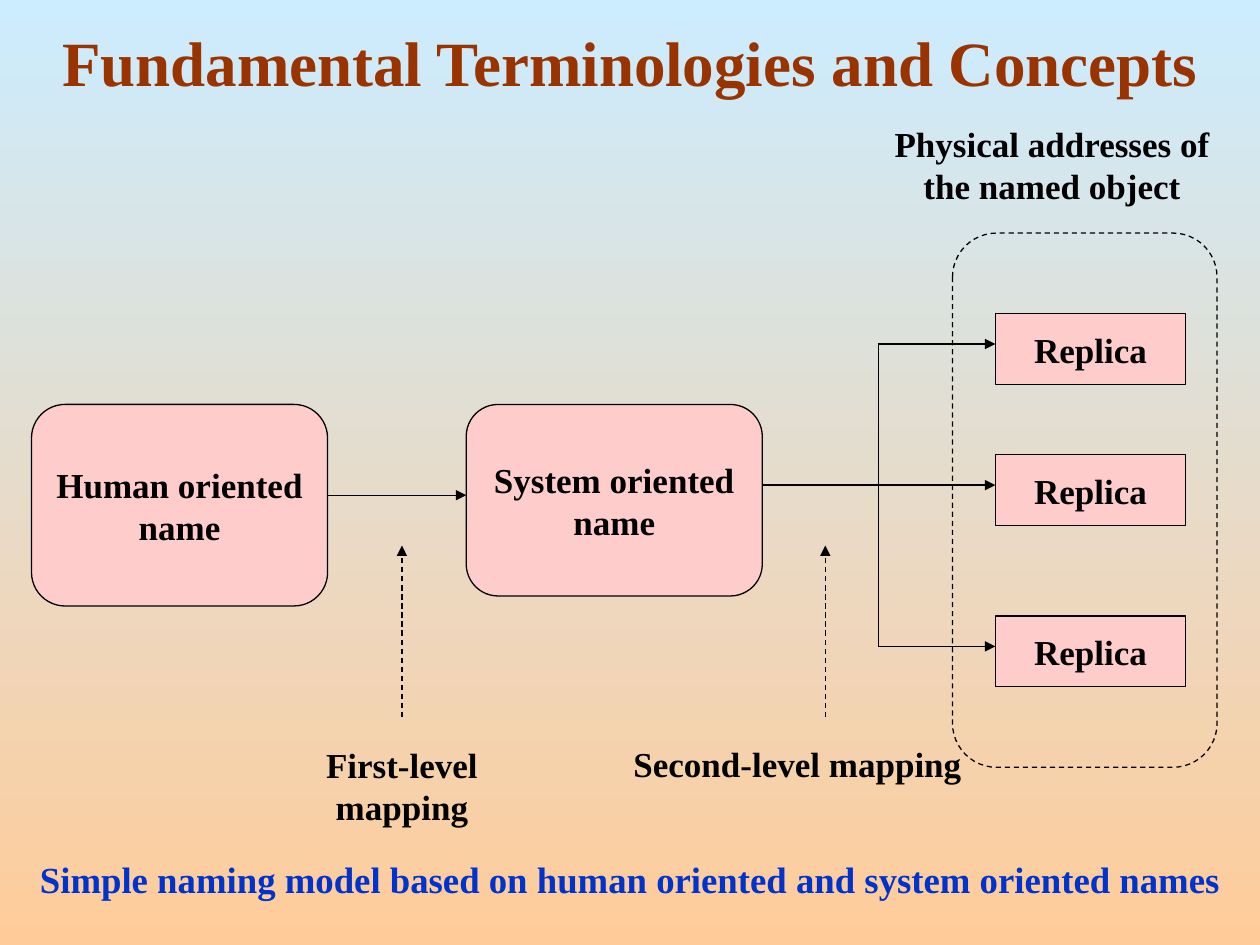
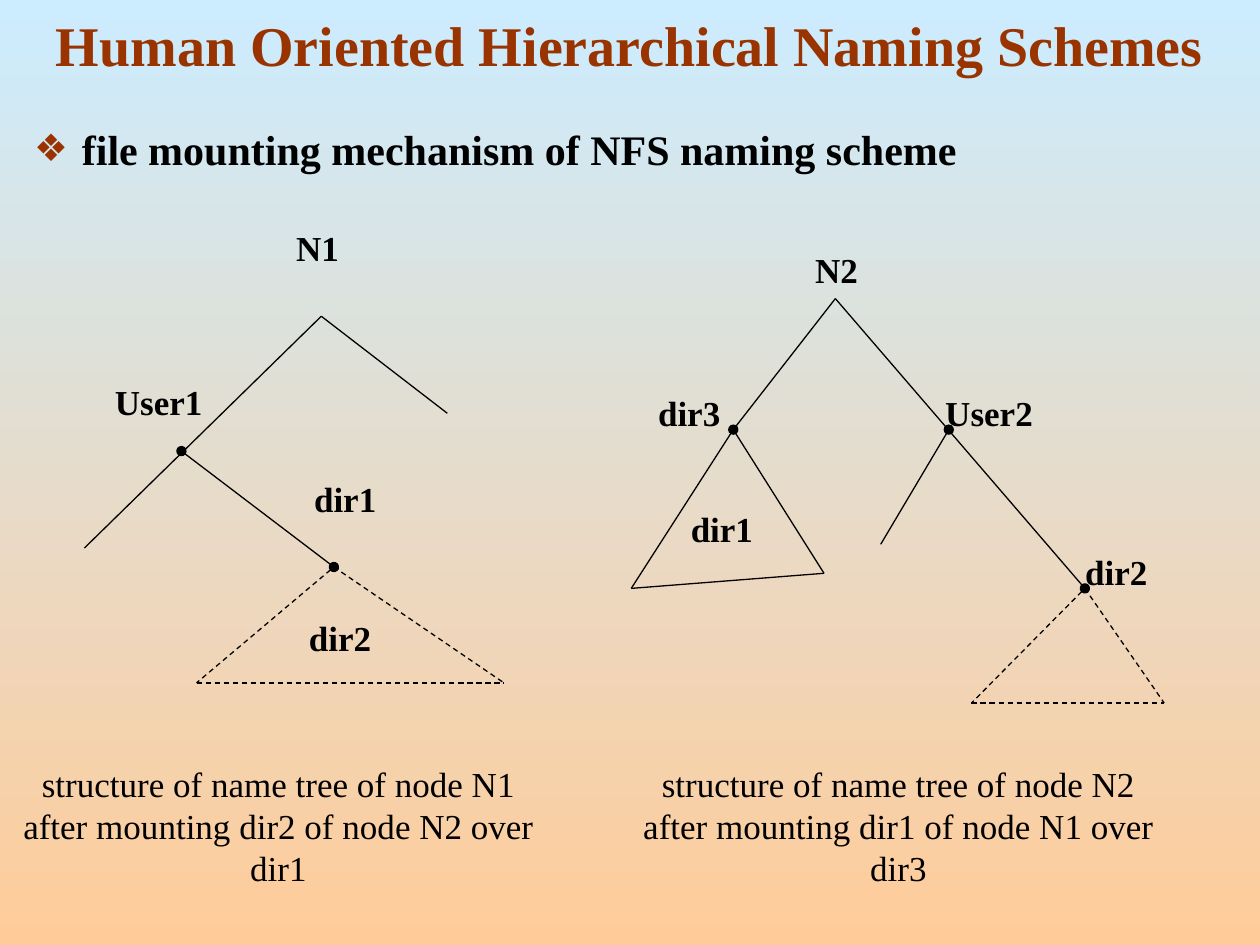
"""Build two slides on naming models and hierarchical naming schemes."""
from lxml import etree
from pptx import Presentation
from pptx import util as u
from pptx.dml.color import RGBColor
from pptx.enum import dml, shapes, text
from pptx.oxml import ns

COLOURS = {
    "sky": "CCECFF",
    "peach": "FFCC99",
    "rust": "993300",
    "pink": "FFCCCC",
    "blue": "0033CC",
    "black": "000000",
}
FONT = "Times New Roman"
BOLD_20 = {"size": u.Pt(20), "bold": True}
SHAPE = shapes.MSO_SHAPE
DASH = dml.MSO_LINE.DASH


def colour(name):
    """Return the RGB value of a named colour."""
    return RGBColor.from_string(COLOURS[name])


def assign(target, values):
    """Set each attribute of the target from a dict of values."""
    for attribute, value in values.items():
        setattr(target, attribute, value)


def place(element, left, top, width, height):
    """Move and size an element, in inches."""
    box = {"left": left, "top": top, "width": width, "height": height}
    assign(element, {side: u.Inches(length) for side, length in box.items()})


def add_xml(parent, tag, **attributes):
    """Append a DrawingML element to the parent and return it."""
    return etree.SubElement(parent, ns.qn(tag), attributes)


def write(frame, wording, ink="black", font=BOLD_20, wrap=True,
          anchor=text.MSO_ANCHOR.TOP, align=text.PP_ALIGN.CENTER):
    """Fill a text frame with one paragraph for each line of wording."""
    assign(frame, {"text": wording, "word_wrap": wrap, "vertical_anchor": anchor,
                   "auto_size": text.MSO_AUTO_SIZE.NONE})
    for paragraph in frame.paragraphs:
        paragraph.alignment = align
        for run in paragraph.runs:
            assign(run.font, {"name": FONT, **font})
            run.font.color.rgb = colour(ink)


def outline(line, dashed=False):
    """Draw a thin black line, dashed on request."""
    line.color.rgb = colour("black")
    line.width = u.Pt(0.75)
    if dashed:
        line.dash_style = DASH


def set_title(slide, wording, top, size):
    """Place and write the slide title."""
    place(slide.shapes.title, 0, top, 10, 0.67)
    write(slide.shapes.title.text_frame, wording, "rust",
          {"size": u.Pt(size), "bold": True}, anchor=text.MSO_ANCHOR.BOTTOM)


def add_label(parts, wording, centre, top, width=1.3, height=0.44, **style):
    """Add a text box centred on a horizontal position."""
    label = parts.add_textbox(0, 0, 0, 0)
    place(label, centre - width / 2, top, width, height)
    write(label.text_frame, wording, **style)


def add_box(slide, kind, left, top, width, height, wording):
    """Add a pink box with a centred name."""
    box = slide.shapes.add_shape(kind, *map(u.Inches, (left, top, width, height)))
    box.shadow.inherit = False
    box.fill.solid()
    box.fill.fore_color.rgb = colour("pink")
    outline(box.line)
    write(box.text_frame, wording, wrap=False, anchor=text.MSO_ANCHOR.MIDDLE)


def add_line(parts, start, end, dashed=False, head=None, tail=None):
    """Join two points, with optional line ends."""
    line = parts.add_connector(shapes.MSO_CONNECTOR.STRAIGHT,
                               *map(u.Inches, (*start, *end)))
    outline(line.line, dashed)
    for tag, ending in (("a:headEnd", head), ("a:tailEnd", tail)):
        if ending:
            add_xml(line.line._get_or_add_ln(), tag, type=ending)
    add_xml(line._element.spPr, "a:effectLst")


def add_bullets(slide, wording):
    """Write the list with a coloured diamond bullet."""
    body = slide.placeholders[1]
    place(body, 0.17, 0.83, 9.67, 5.82)
    write(body.text_frame, wording, font={"size": u.Pt(24), "bold": True},
          align=text.PP_ALIGN.JUSTIFY)
    for paragraph in body.text_frame.paragraphs:
        assign(paragraph, {"line_spacing": 1.25, "space_before": u.Pt(0)})
        properties = paragraph._p.get_or_add_pPr()
        assign_indent = {"marL": u.Inches(0.38), "indent": u.Inches(-0.38)}
        for attribute, length in assign_indent.items():
            properties.set(attribute, str(int(length)))
        add_xml(add_xml(properties, "a:buClr"), "a:srgbClr", val=COLOURS["rust"])
        add_xml(properties, "a:buSzPct", val="90000")
        add_xml(properties, "a:buChar", char="❖")


def add_tree(slide, branches, mounted, labels):
    """Group the branches, mounted (dashed) branches and labels of a name tree."""
    parts = slide.shapes.add_group_shape().shapes
    for lines, dashed in ((branches, False), (mounted, True)):
        for start, end, *dot in lines:
            add_line(parts, start, end, dashed, head="oval" if dot else None)
    for wording, centre, top in labels:
        add_label(parts, wording, centre, top)


def set_background(master):
    """Give all slides a gradient from sky to peach."""
    fill = master.background.fill
    fill.gradient()
    fill.gradient_angle = 270
    for stop, name in zip(fill.gradient_stops, ("sky", "peach")):
        stop.color.rgb = colour(name)


def build_naming_model(slide):
    """Draw the two mappings from a name to its replicas."""
    set_title(slide, "Fundamental Terminologies and Concepts", 0.17, 36)
    parts = slide.shapes
    addresses = parts.add_shape(SHAPE.ROUNDED_RECTANGLE,
                                *map(u.Inches, (7.56, 1.85, 2.1, 4.24)))
    addresses.shadow.inherit = False
    addresses.fill.background()
    outline(addresses.line, dashed=True)

    rounded = SHAPE.FLOWCHART_ALTERNATE_PROCESS
    add_box(slide, rounded, 0.25, 3.21, 2.35, 1.6, "Human oriented\nname")
    add_box(slide, rounded, 3.7, 3.21, 2.35, 1.52, "System oriented\nname")
    add_line(parts, (2.6, 3.93), (3.7, 3.93), tail="triangle")

    fork, replica_left, arrows = 6.97, 7.9, (2.73, 3.85, 5.13)
    add_line(parts, (6.05, arrows[1]), (fork, arrows[1]))
    add_line(parts, (fork, arrows[0]), (fork, arrows[-1]))
    for arrow in arrows:
        add_box(slide, SHAPE.RECTANGLE, replica_left, arrow - 0.24, 1.51, 0.56, "Replica")
        add_line(parts, (fork, arrow), (replica_left, arrow), tail="triangle")
    for mapping in (3.19, 6.55):
        add_line(parts, (mapping, 5.69), (mapping, 4.33), dashed=True, tail="triangle")

    add_label(parts, "First-level mapping", 3.19, 5.85, 2.3, 0.77)
    add_label(parts, "Second-level mapping", 6.33, 5.84, 2.9)
    add_label(parts, "Physical addresses of the named object", 8.35, 0.92, 2.86, 0.77)
    add_label(parts, "Simple naming model based on human oriented and system oriented names",
              5, 6.75, 10, 0.45, ink="blue", font={"size": u.Pt(21), "bold": True})


def build_naming_schemes(slide):
    """Draw the name trees of two nodes after mounting."""
    set_title(slide, "Human Oriented Hierarchical Naming Schemes", 0, 32)
    add_bullets(slide, "file mounting mechanism of NFS naming scheme")

    n1, user1, dir1 = (2.55, 2.51), (1.44, 3.58), (2.65, 4.5)
    left_leaf, right_leaf = (1.56, 5.42), (4, 5.42)
    add_tree(
        slide,
        [(n1, (0.67, 4.35)), (n1, (3.55, 3.28)), (user1, dir1, "dot")],
        [(dir1, left_leaf, "dot"), (dir1, right_leaf), (left_leaf, right_leaf)],
        [("N1", 2.52, 1.75), ("User1", 1.26, 2.97),
         ("dir1", 2.74, 3.74), ("dir2", 2.7, 4.84)],
    )

    n2, dir3, user2, dir2 = (6.63, 2.37), (5.82, 3.41), (7.53, 3.41), (8.61, 4.67)
    dir1_left, dir1_right = (5.01, 4.67), (6.54, 4.55)
    left_leaf, right_leaf = (7.71, 5.58), (9.24, 5.58)
    add_tree(
        slide,
        [(n2, dir3), (dir3, dir1_left), (dir3, dir1_right, "dot"),
         (dir1_left, dir1_right), (n2, dir2), (user2, (6.99, 4.32), "dot")],
        [(dir2, left_leaf, "dot"), (dir2, right_leaf), (left_leaf, right_leaf)],
        [("N2", 6.64, 1.92), ("dir3", 5.47, 3.06), ("User2", 7.85, 3.06),
         ("dir2", 8.86, 4.32), ("dir1", 5.73, 3.98)],
    )

    for centre, node, mount, other, point in ((2.21, "N1", "dir2", "N2", "dir1"),
                                              (7.13, "N2", "dir1", "N1", "dir3")):
        add_label(slide.shapes, f"structure of name tree of node {node} after mounting "
                  f"{mount} of node {other} over {point}",
                  centre, 6, 4.42, 1.1, font={"size": u.Pt(20)})


def main():
    """Build and save the presentation."""
    deck = Presentation()
    assign(deck, {"slide_width": u.Inches(10), "slide_height": u.Inches(7.5)})
    set_background(deck.slide_master)
    build_naming_model(deck.slides.add_slide(deck.slide_layouts[5]))
    build_naming_schemes(deck.slides.add_slide(deck.slide_layouts[1]))
    deck.save("out.pptx")


if __name__ == "__main__":
    main()
